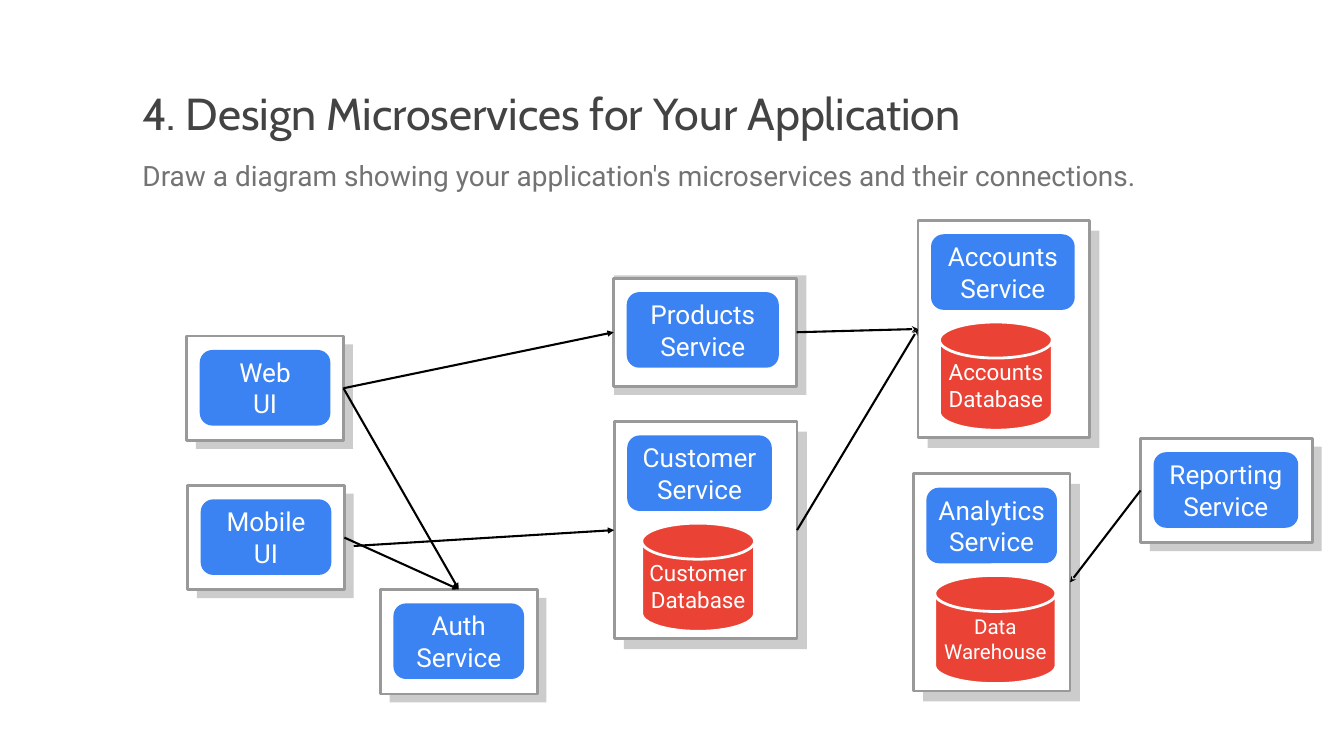
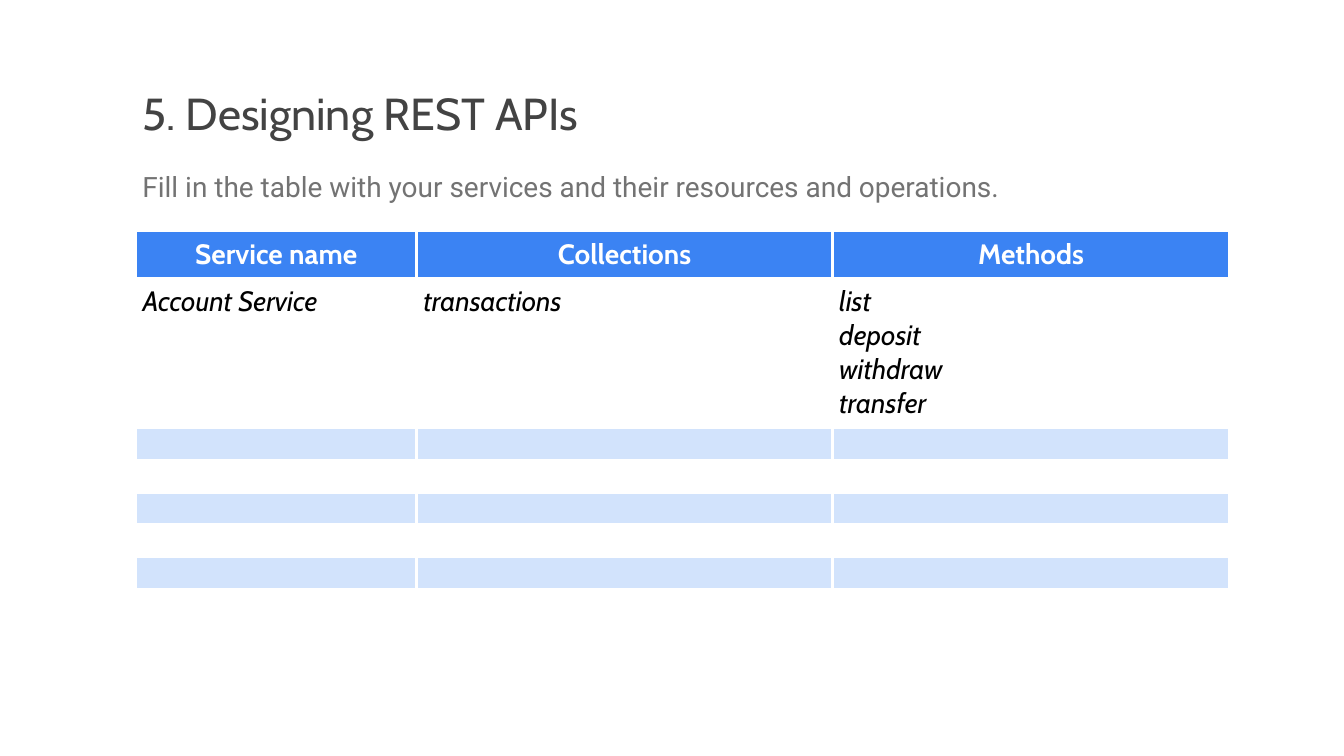
from lxml.etree import SubElement
from pptx import Presentation
from pptx.dml.color import RGBColor
from pptx.enum.shapes import MSO_CONNECTOR as LINE, MSO_SHAPE as SHAPE
from pptx.enum.text import MSO_ANCHOR as ANCHOR, PP_ALIGN as ALIGN
from pptx.oxml.ns import qn
from pptx.util import Pt

COLORS = {
    "title": "434343", "subtitle": "737373", "blue": "3B83F3", "red": "EA4335",
    "band": "D2E3FC", "shadow": "CCCCCC", "frame": "999999",
    "white": "FFFFFF", "black": "000000",
}
HEAD_FONT, BODY_FONT = "Cabin", "Roboto"
INSET = 7.2
LEFT = 145.5

# Slide 1: name -> frame (x, y, w, h), label, label width, database
# Database: text, text size, width, distance from the frame's left edge
CARDS = {
    "web": ((200, 360, 168, 112), "Web\nUI", 140, None),
    "mobile": ((201, 520, 168, 112), "Mobile\nUI", 140, None),
    "auth": ((407.5, 631.5, 168, 112), "Auth\nService", 140, None),
    "products": ((657.5, 298, 196, 116), "Products\nService", 163, None),
    "accounts": ((983.5, 236, 184, 233), "Accounts\nService", 154,
                 ("Accounts\nDatabase", 24, 121, 23)),
    "analytics": ((978.5, 507.5, 168, 233), "Analytics\nService", 140,
                  ("Data Warehouse", 22, 130, 23)),
    "customer": ((658, 451.5, 196, 233), "Customer\nService", 155,
                 ("Customer\nDatabase", 24, 121, 29.5)),
    "reporting": ((1222, 469.5, 184, 112), "Reporting Service", 155, None),
}
SHADOW_SHIFT = {112: (10, 9), 233: (10.5, 11)}   # by card height
PRODUCTS_SHADOW = (658, 295, 206, 128)
LABEL_SHIFT, LABEL_H = (14, 15), 81
DB_TOP, DB_H = 109, 116

# Start, its side, end, its side, arrowhead
TOP, WEST, SOUTH, EAST = range(4)
LINKS = [
    ("web", EAST, "auth", TOP, "triangle"),
    ("mobile", EAST, "auth", TOP, "triangle"),
    ("web", EAST, "products", WEST, "triangle"),
    ("mobile shadow", EAST, "customer", WEST, "triangle"),
    ("products", EAST, "accounts", WEST, "stealth"),
    ("customer", EAST, "accounts", WEST, "stealth"),
    ("reporting", WEST, "analytics", EAST, "stealth"),
]

# Slide 2: table
HEADERS = ["Service name", "Collections", "Methods"]
EXAMPLE = ["Account Service", "transactions", "list\ndeposit\nwithdraw\ntransfer"]
EMPTY_ROWS = 5
COL_WIDTHS = [301, 445.5, 425.5]
HEADER_H, EXAMPLE_H, EMPTY_H = 51, 160.5, 34.5


def rgb(name):
    return RGBColor.from_string(COLORS[name])


def write(tf, text, font, size, color, align=None, bold=None, italic=None):
    tf.text = text
    tf.word_wrap = True
    for p in tf.paragraphs:
        p.alignment = align
        f = p.font
        f.name, f.size, f.bold, f.italic = font, Pt(size), bold, italic
        f.color.rgb = rgb(color)


def set_insets(box):
    box.margin_left = box.margin_right = Pt(INSET)
    box.margin_top = box.margin_bottom = Pt(INSET)


def add_text(s, box, text, font, size, color):
    tf = s.shapes.add_textbox(*map(Pt, box)).text_frame
    set_insets(tf)
    write(tf, text, font, size, color)
    return tf.paragraphs[0]


def add_slide(prs, title, subtitle, subtitle_top):
    s = prs.slides.add_slide(prs.slide_layouts[6])
    add_text(s, (LEFT, 85, 1150.5, 85), title, HEAD_FONT, 48, "title")
    p = add_text(s, (LEFT, subtitle_top, 1247, 59), subtitle, BODY_FONT, 30, "subtitle")
    p.line_spacing, p.space_after = 1.15, Pt(16)
    return s


def add_block(s, kind, box, fill, line=None, text=None, size=28):
    sp = s.shapes.add_shape(kind, *map(Pt, box))
    sp.shadow.inherit = False
    sp.fill.solid()
    sp.fill.fore_color.rgb = rgb(fill)
    if line:
        sp.line.color.rgb = rgb(line)
        sp.line.width = Pt(3)
    else:
        sp.line.fill.background()
    if text:
        tf = sp.text_frame
        set_insets(tf)
        tf.vertical_anchor = ANCHOR.MIDDLE
        write(tf, text, BODY_FONT, size, "white", ALIGN.CENTER)
    return sp


def add_card(s, frame, label, label_w, database):
    x, y, w, h = frame
    if h in SHADOW_SHIFT:
        dx, dy = SHADOW_SHIFT[h]
        shadow_box = (x + dx, y + dy, w, h)
    else:
        shadow_box = PRODUCTS_SHADOW
    shadow = add_block(s, SHAPE.RECTANGLE, shadow_box, "shadow")
    card = add_block(s, SHAPE.RECTANGLE, frame, "white", "frame")
    dx, dy = LABEL_SHIFT
    add_block(s, SHAPE.ROUNDED_RECTANGLE, (x + dx, y + dy, label_w, LABEL_H),
              "blue", text=label)
    if database:
        text, size, db_w, db_x = database
        add_block(s, SHAPE.FLOWCHART_MAGNETIC_DISK, (x + db_x, y + DB_TOP, db_w, DB_H),
                  "red", "white", text, size)
    return card, shadow


def add_link(s, start, start_side, end, end_side, head):
    c = s.shapes.add_connector(LINE.STRAIGHT, 0, 0, 0, 0)
    c.begin_connect(start, start_side)
    c.end_connect(end, end_side)
    c.line.color.rgb = rgb("black")
    c.line.width = Pt(2.25)
    SubElement(c.line._get_or_add_ln(), qn("a:tailEnd"), type=head)
    SubElement(c._element.spPr, qn("a:effectLst"))


def style_cell(cell, fill):
    tc_pr = cell._tc.get_or_add_tcPr()
    for side in ("lnL", "lnR", "lnT", "lnB"):
        ln = SubElement(tc_pr, qn(f"a:{side}"), w=str(Pt(3)))
        SubElement(SubElement(ln, qn("a:solidFill")), qn("a:srgbClr"), val=COLORS["white"])
    if fill:
        cell.fill.solid()
        cell.fill.fore_color.rgb = rgb(fill)
    else:
        cell.fill.background()


def build_diagram(prs):
    s = add_slide(prs, "4. Design Microservices for Your Application",
                  "Draw a diagram showing your application's microservices "
                  "and their connections.", 157.5)
    blocks = {}
    for name, card in CARDS.items():
        blocks[name], blocks[f"{name} shadow"] = add_card(s, *card)
    for start, start_side, end, end_side, head in LINKS:
        add_link(s, blocks[start], start_side, blocks[end], end_side, head)


def build_table(prs):
    s = add_slide(prs, "5. Designing REST APIs",
                  "Fill in the table with your services and their resources "
                  "and operations.", 169)
    heights = [HEADER_H, EXAMPLE_H] + [EMPTY_H] * EMPTY_ROWS
    table = s.shapes.add_table(len(heights), len(HEADERS), Pt(LEFT), Pt(247),
                               Pt(sum(COL_WIDTHS)), Pt(sum(heights))).table
    for col, width in zip(table.columns, COL_WIDTHS):
        col.width = Pt(width)
    for i, height in enumerate(heights):
        table.rows[i].height = Pt(height)
        fill = "blue" if i == 0 else "band" if i % 2 == 0 else None
        for cell in table.rows[i].cells:
            style_cell(cell, fill)
    for j, (header, example) in enumerate(zip(HEADERS, EXAMPLE)):
        head, body = table.cell(0, j), table.cell(1, j)
        set_insets(head)
        set_insets(body)
        write(head.text_frame, header, HEAD_FONT, 30, "white", ALIGN.CENTER, bold=True)
        write(body.text_frame, example, HEAD_FONT, 30, "black", bold=False, italic=True)


def main():
    prs = Presentation()
    prs.slide_width, prs.slide_height = Pt(1440), Pt(810)
    build_diagram(prs)
    build_table(prs)
    prs.save("out.pptx")


if __name__ == "__main__":
    main()
